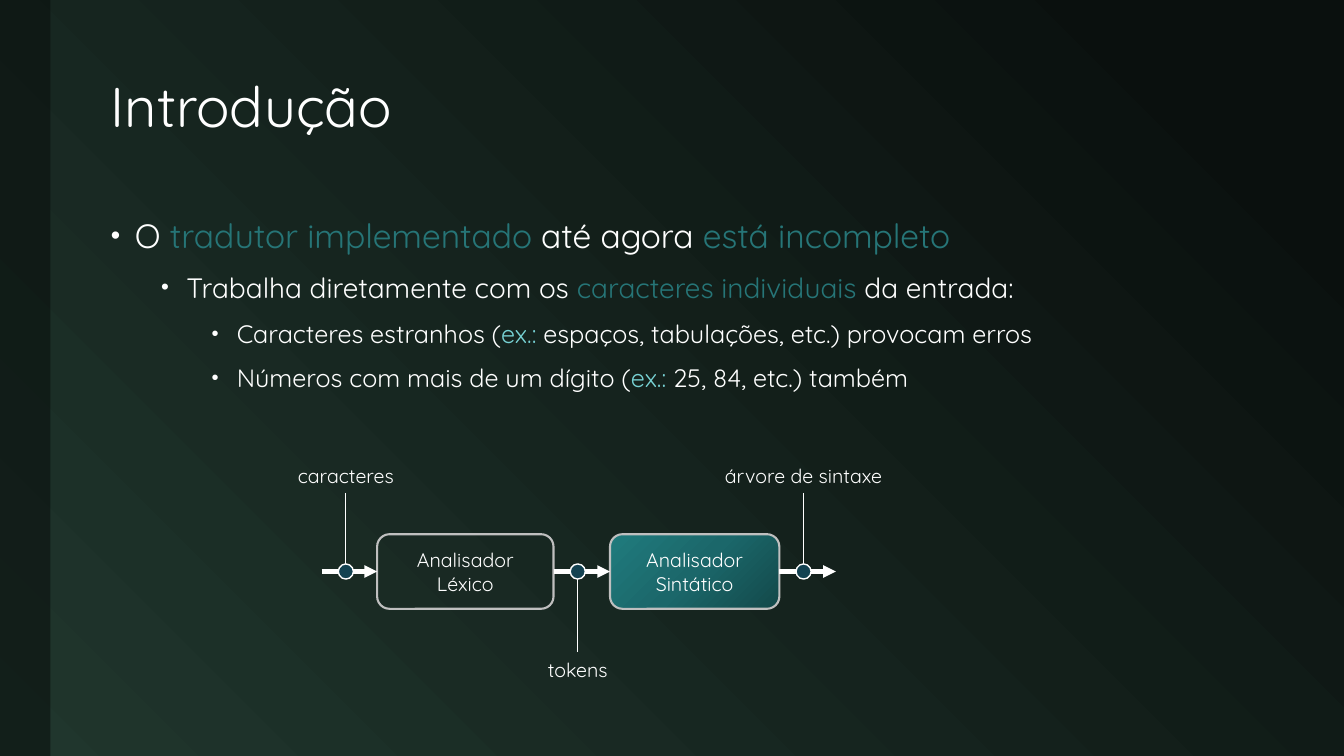
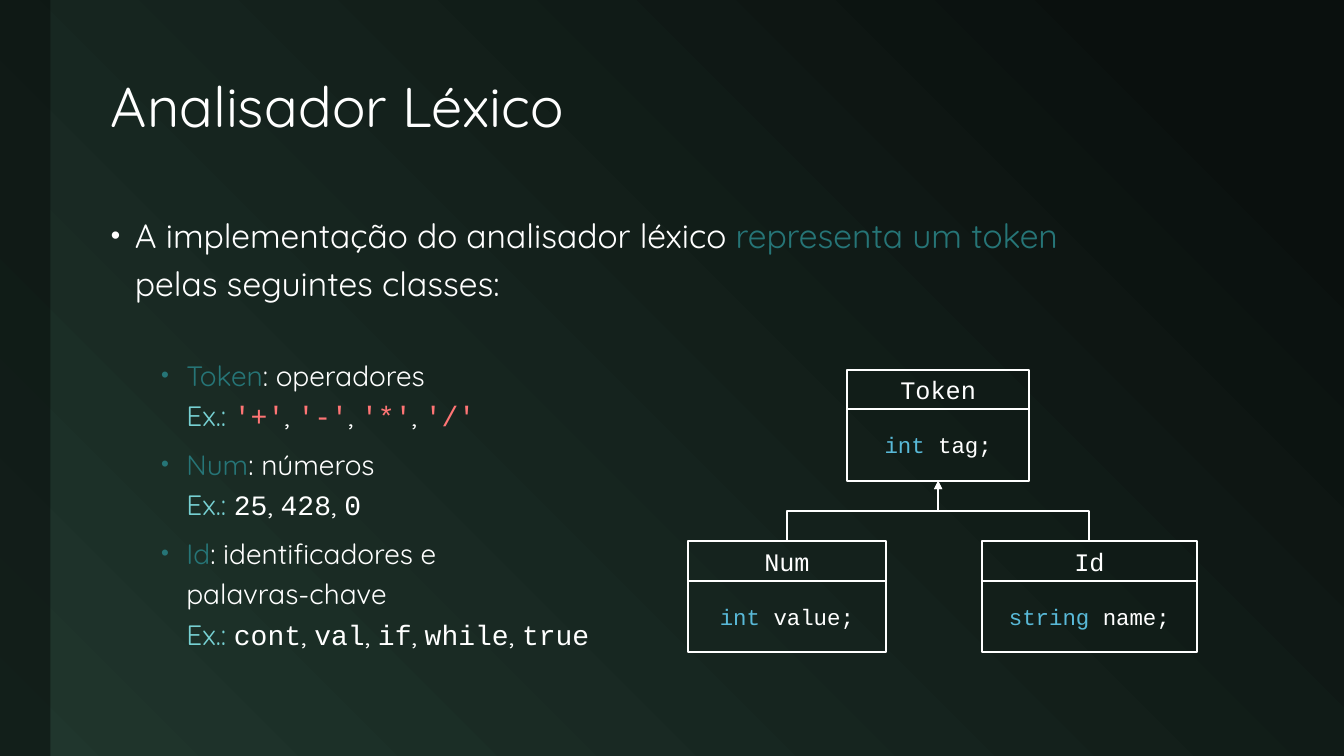
from copy import deepcopy

from lxml import etree
from pptx import Presentation
from pptx.dml.color import RGBColor
from pptx.enum.shapes import MSO_CONNECTOR, MSO_SHAPE
from pptx.enum.text import MSO_ANCHOR, MSO_AUTO_SIZE, PP_ALIGN
from pptx.oxml.ns import qn
from pptx.util import Inches, Pt

RECT, ROUND, OVAL = MSO_SHAPE.RECTANGLE, MSO_SHAPE.ROUNDED_RECTANGLE, MSO_SHAPE.OVAL
STRAIGHT, ELBOW = MSO_CONNECTOR.STRAIGHT, MSO_CONNECTOR.ELBOW
CENTER, LEFT, MIDDLE = PP_ALIGN.CENTER, PP_ALIGN.LEFT, MSO_ANCHOR.MIDDLE
TOP_SIDE, LEFT_SIDE, BOTTOM_SIDE, RIGHT_SIDE = range(4)

COLORS = {
    "white": "FFFFFF", "teal": "267577", "aqua": "77D1D3", "red": "FF7575",
    "keyword": "59B9D8", "dark": "0A100E", "green": "20362D", "node": "134251",
    "gray": "BFBFBF",
}
BACKGROUND = [(0.1, COLORS["dark"]), (1, COLORS["green"])]
PARSER_FILL = [(0, "13494A"), (0.5, "1B676A"), (1, "207B7D")]
SANS, MONO = "Quicksand", "Courier New"

# Run styles: font and colour
STYLES = {
    "text": (SANS, "white"), "teal": (SANS, "teal"), "aqua": (SANS, "aqua"),
    "code": (MONO, "white"), "char": (MONO, "red"), "type": (MONO, "keyword"),
}
# Bullet levels: indent, hanging, size, space before
LEVELS = [(0.24, 0.24, 24, 18), (0.75, 0.25, 20, 6), (1.25, 0.25, 18, 6)]
LIST_GAP = 34.5

# Content


def examples(style, *items):
    runs = [("aqua", "Ex.: ")]
    for i, item in enumerate(items):
        runs += [("text", ", ")] * (i > 0) + [(style, item)]
    return runs


INTRO_BULLETS = [
    (0, [("text", "O "), ("teal", "tradutor implementado "), ("text", "até agora "),
         ("teal", "está incompleto")]),
    (1, [("text", "Trabalha diretamente com os "), ("teal", "caracteres individuais"),
         ("text", " da entrada:")]),
    (2, [("text", "Caracteres estranhos ("), ("aqua", "ex.: "),
         ("text", "espaços, tabulações, etc.) provocam erros")]),
    (2, [("text", "Números com mais de um dígito ("), ("aqua", "ex.:"),
         ("text", " 25, 84, etc.) também")]),
]
LEXER_BULLETS = [
    (0, [("text", "A implementação do analisador léxico "),
         ("teal", "representa um token\n"), ("text", "pelas seguintes classes:")]),
    (1, [("teal", "Token"), ("text", ": operadores\n")]
     + examples("char", "'+'", "'-'", "'*'", "'/'")),
    (1, [("teal", "Num"), ("text", ": números\n")] + examples("code", "25", "428", "0")),
    (1, [("teal", "Id"), ("text", ": identificadores e\npalavras-chave\n")]
     + examples("code", "cont", "val", "if", "while", "true")),
]
# Stages: text, left, width, gradient
STAGES = [
    ("Analisador\nLéxico", 3.74, 1.75, None),
    ("Analisador\nSintático", 6.05, 1.68, PARSER_FILL),
]
# Flows between stages: label, label top, arrow start
FLOWS = [("caracteres", 4.55, 3.19), ("tokens", 6.47, 5.49), ("árvore de sintaxe", 4.55, 7.73)]
# Classes: name, field type, field name, left, top, width
CLASSES = [
    ("Token", "int ", "tag;", 8.4, 3.67, 1.81),
    ("Num", "int ", "value;", 6.82, 5.37, 1.97),
    ("Id", "string ", "name;", 9.74, 5.37, 2.13),
]


# Helpers
def rgb(name):
    return RGBColor.from_string(COLORS.get(name, name))


def set_gradient(fill, element, stops, angle):
    fill.gradient()
    fill.gradient_angle = angle
    first = next(element.iter(qn("a:gs")))
    for _ in stops[2:]:
        first.addnext(deepcopy(first))
    for stop, (position, color) in zip(fill.gradient_stops, stops):
        stop.position = position
        stop.color.rgb = rgb(color)


def add_runs(p, runs, size):
    for style, text in runs:
        font, color = STYLES[style]
        for i, line in enumerate(text.split("\n")):
            if i:
                p.add_line_break()
            if line:
                r = p.add_run()
                r.text = line
                r.font.name, r.font.size = font, Pt(size)
                r.font.color.rgb = rgb(color)


def add_box(slide, kind, x, y, w, h, fill=None, line=None, width=1.5):
    sp = slide.shapes.add_shape(kind, Inches(x), Inches(y), Inches(w), Inches(h))
    sp.shadow.inherit = False
    if fill:
        sp.fill.solid()
        sp.fill.fore_color.rgb = rgb(fill)
    else:
        sp.fill.background()
    if line:
        sp.line.color.rgb = rgb(line)
        sp.line.width = Pt(width)
    else:
        sp.line.fill.background()
    return sp


def write_centered(sp, lines, size):
    tf = sp.text_frame
    tf.word_wrap = True
    tf.vertical_anchor = MIDDLE
    for i, runs in enumerate(lines):
        p = tf.add_paragraph() if i else tf.paragraphs[0]
        p.alignment = CENTER
        add_runs(p, runs, size)


def add_line(slide, kind, x1, y1, x2, y2, width, arrow=False):
    line = slide.shapes.add_connector(kind, Inches(x1), Inches(y1), Inches(x2), Inches(y2))
    line.line.color.rgb = rgb("white")
    line.line.width = Pt(width)
    if arrow:
        etree.SubElement(line.line._get_or_add_ln(), qn("a:tailEnd"), type="triangle")
    etree.SubElement(line._element.spPr, qn("a:effectLst"))
    return line


def add_bullets(slide, bullets):
    tf = slide.shapes.add_textbox(Inches(1), Inches(2), Inches(11.65), Inches(4.83)).text_frame
    tf.word_wrap = True
    for i, (level, runs) in enumerate(bullets):
        p = tf.add_paragraph() if i else tf.paragraphs[0]
        indent, hanging, size, before = LEVELS[level]
        pPr = p._p.get_or_add_pPr()
        pPr.set("marL", str(Inches(indent)))
        pPr.set("indent", str(-Inches(hanging)))
        etree.SubElement(pPr, qn("a:buSzPct"), val="80000")
        etree.SubElement(pPr, qn("a:buFont"), typeface="Arial")
        etree.SubElement(pPr, qn("a:buChar"), char="•")
        p.level = level
        p.line_spacing = 1.2
        p.space_before = Pt(before if i else 0)
        add_runs(p, runs, size)
    return tf


def add_slide(prs, title):
    slide = prs.slides.add_slide(prs.slide_layouts[5])
    # Side band, behind everything else
    band = add_box(slide, RECT, 0, 0, 0.5, 7.5, fill="dark")
    color = next(band._element.spPr.iter(qn("a:srgbClr")))
    etree.SubElement(color, qn("a:alpha"), val="60000")
    slide.shapes._spTree.insert(2, band._element)
    # Title
    sp = slide.shapes.title
    sp.left, sp.top, sp.width, sp.height = Inches(1), Inches(0.42), Inches(11.65), Inches(1.33)
    tf = sp.text_frame
    tf.auto_size = MSO_AUTO_SIZE.NONE
    tf.vertical_anchor = MIDDLE
    p = tf.paragraphs[0]
    p.alignment = LEFT
    p.line_spacing = 0.9
    add_runs(p, [("text", title)], 40)
    return slide


# Diagrams
def add_pipeline(slide):
    flow_y, stage_h, arrow_w, node_dx, dot = 5.67, 0.74, 0.56, 0.24, 0.15
    label_w, label_h = 1.85, 0.34
    stages = []
    for text, x, w, stops in STAGES:
        sp = add_box(slide, ROUND, x, flow_y - stage_h / 2, w, stage_h, line="gray")
        if stops:
            set_gradient(sp.fill, sp._element, stops, 135)
        write_centered(sp, [[("text", line)] for line in text.split("\n")], 14)
        stages.append(sp)
    for i, (text, label_y, x) in enumerate(FLOWS):
        arrow = add_line(slide, STRAIGHT, x, flow_y, x + arrow_w, flow_y, 3, arrow=True)
        if i:
            arrow.begin_connect(stages[i - 1], RIGHT_SIDE)
        if i < len(stages):
            arrow.end_connect(stages[i], LEFT_SIDE)
        node_x = x + node_dx
        label = slide.shapes.add_textbox(Inches(node_x - label_w / 2), Inches(label_y),
                                         Inches(label_w), Inches(label_h))
        write_centered(label, [[("text", text)]], 14)
        above = label_y < flow_y
        dot_edge = flow_y - dot / 2 if above else flow_y + dot / 2
        stem = add_line(slide, STRAIGHT, node_x, label_y, node_x, dot_edge, 0.75)
        stem.begin_connect(label, BOTTOM_SIDE if above else TOP_SIDE)
        add_box(slide, OVAL, node_x - dot / 2, flow_y - dot / 2, dot, dot,
                fill="node", line="white", width=1)


def add_class_tree(slide):
    head_h, field_h = 0.39, 0.71
    boxes = []
    for name, kind, field, x, y, w in CLASSES:
        head = add_box(slide, RECT, x, y, w, head_h, line="white")
        write_centered(head, [[("code", name)]], 18)
        body = add_box(slide, RECT, x, y + head_h, w, field_h, line="white")
        write_centered(body, [[("type", kind), ("code", field)]], 16)
        boxes.append((head, body))
    parent = boxes[0][1]
    end_x, end_y = parent.left + parent.width // 2, parent.top + parent.height
    for child, _ in boxes[1:]:
        line = add_line(slide, ELBOW, 0, 0, 1, 1, 1.5, arrow=True)
        line.begin_connect(child, TOP_SIDE)
        line.end_connect(parent, BOTTOM_SIDE)
        # Turn the elbow so that it leaves the child upwards
        start_x = child.left + child.width // 2
        run, rise = abs(start_x - end_x), child.top - end_y
        line.left = (start_x + end_x - rise) // 2
        line.top = (child.top + end_y - run) // 2
        line.width, line.height = rise, run
        line.rotation = 270
        xfrm = line._element.spPr.find(qn("a:xfrm"))
        xfrm.set("flipH", "0")
        xfrm.set("flipV", "1" if start_x > end_x else "0")


def main():
    prs = Presentation()
    prs.slide_width, prs.slide_height = Inches(13.33), Inches(7.5)
    master = prs.slide_master
    set_gradient(master.background.fill, master._element, BACKGROUND, 225)

    intro = add_slide(prs, "Introdução")
    add_bullets(intro, INTRO_BULLETS)
    add_pipeline(intro)

    lexer = add_slide(prs, "Analisador Léxico")
    tf = add_bullets(lexer, LEXER_BULLETS)
    tf.paragraphs[1].space_before = Pt(LIST_GAP)
    add_class_tree(lexer)

    prs.save("out.pptx")


if __name__ == "__main__":
    main()
